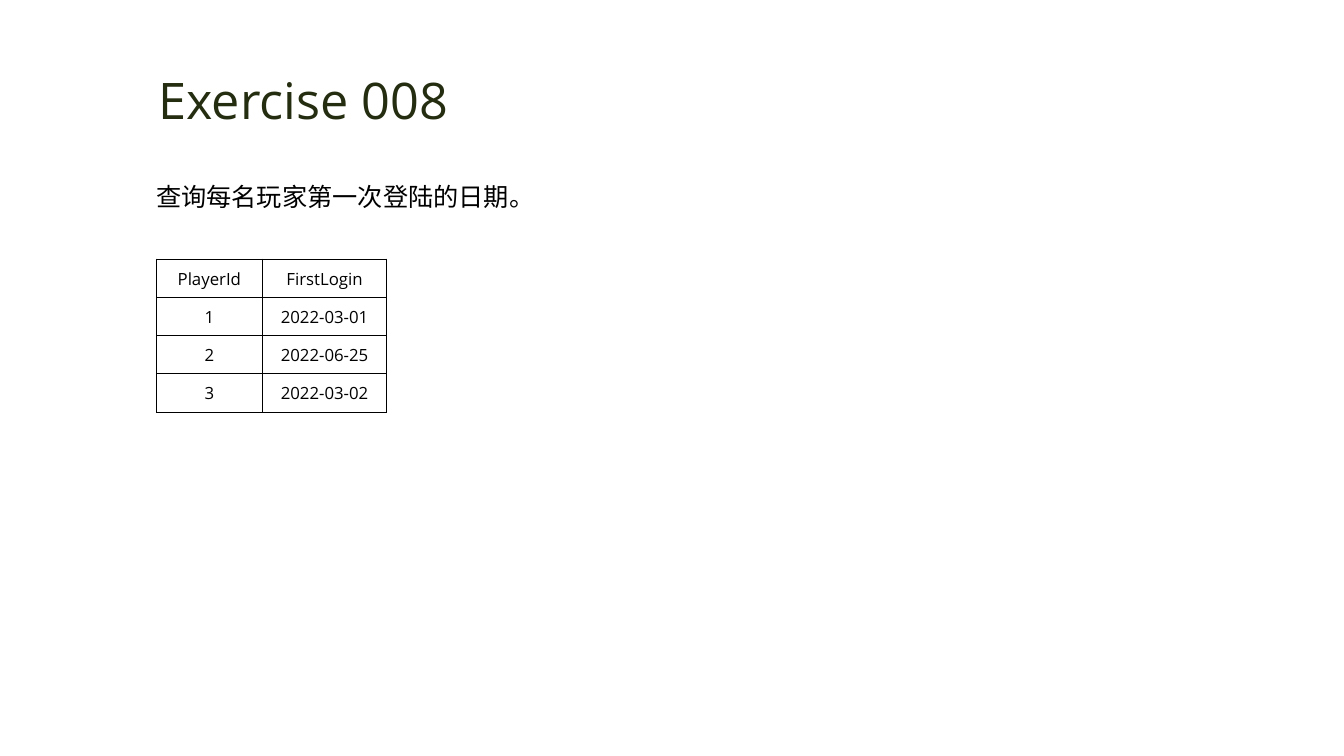
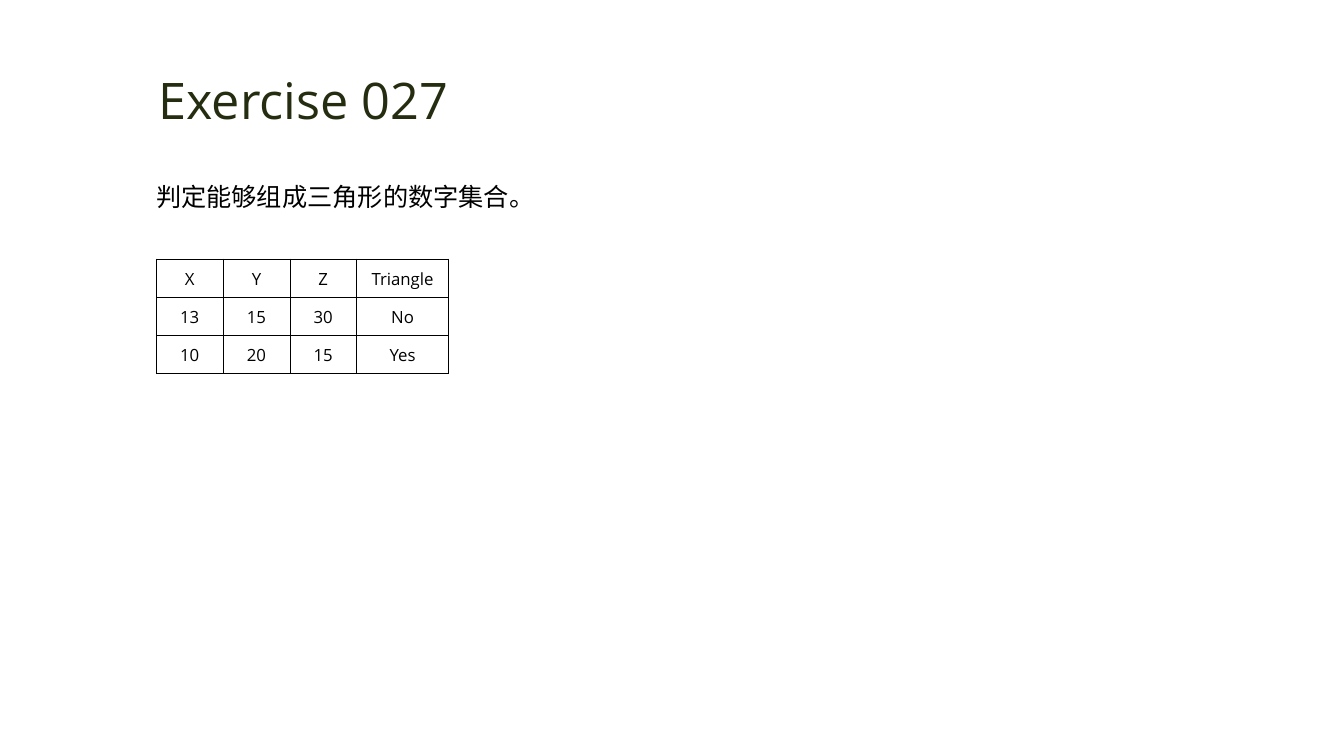
from lxml import etree
from pptx import Presentation
from pptx.dml.color import RGBColor
from pptx.enum.text import MSO_ANCHOR, MSO_AUTO_SIZE, PP_ALIGN
from pptx.oxml.ns import qn
from pptx.util import Inches, Pt

CENTER, LEFT = PP_ALIGN.CENTER, PP_ALIGN.LEFT
MIDDLE = MSO_ANCHOR.MIDDLE
GROW = MSO_AUTO_SIZE.SHAPE_TO_FIT_TEXT

FONT = "Open Sans"
INK, OLIVE = "000000", "242D10"


def color(code):
    return RGBColor.from_string(code)


class Deck:
    """Holds the shared style and the current slide; lengths are percent of the slide."""

    def __init__(self):
        self.prs = Presentation()
        self.prs.slide_width = Inches(13.33)
        self.prs.slide_height = Inches(7.5)
        self.slide = None

    def x(self, share):
        return round(self.prs.slide_width * share / 100)

    def y(self, share):
        return round(self.prs.slide_height * share / 100)

    def page(self):
        self.slide = self.prs.slides.add_slide(self.prs.slide_layouts[6])

    def run(self, para, text, size, ink=INK):
        run = para.add_run()
        run.text = text
        run.font.size = Pt(size)
        run.font.color.rgb = color(ink)
        run.font.name = FONT
        etree.SubElement(run.font._element, qn("a:ea"), typeface=FONT)

    def text(self, text, left, top, width, height, size, ink=INK,
             align=LEFT, wrap=True, space=1.0):
        box = self.slide.shapes.add_textbox(
            self.x(left), self.y(top), self.x(width), self.y(height))
        frame = box.text_frame
        frame.word_wrap = wrap
        frame.auto_size = GROW
        para = frame.paragraphs[0]
        para.alignment = align
        para.line_spacing = space
        self.run(para, text, size, ink)

    def title(self, text):
        self.text(text, 10.43, 8.53, 24.3, 9.47, 36, OLIVE, CENTER, wrap=False)

    def task(self, text):
        self.text(text, 10.88, 21.33, 39.23, 6.8, 18, space=1.5)

    def border(self, cell):
        props = cell._tc.get_or_add_tcPr()
        for side in ("a:lnL", "a:lnR", "a:lnT", "a:lnB"):
            line = etree.SubElement(props, qn(side), w=str(Pt(0.5)))
            fill = etree.SubElement(line, qn("a:solidFill"))
            etree.SubElement(fill, qn("a:srgbClr"), val=INK)

    def cell(self, cell, text):
        self.border(cell)
        cell.fill.background()
        cell.vertical_anchor = MIDDLE
        cell.margin_left = cell.margin_right = cell.margin_top = Inches(0.01)
        cell.margin_bottom = 0
        para = cell.text_frame.paragraphs[0]
        para.alignment = CENTER
        self.run(para, text, 12)

    def table(self, widths, rows, height=5.06):
        table = self.slide.shapes.add_table(
            len(rows), len(widths), self.x(11.63), self.y(34.27),
            self.x(sum(widths)), self.y(height * len(rows))).table
        table.first_row = table.horz_banding = False
        for col, width in zip(table.columns, widths):
            col.width = self.x(width)
        for row, texts in zip(table.rows, rows):
            row.height = self.y(height)
            for cell, text in zip(row.cells, texts):
                self.cell(cell, text)


PAGES = [
    ("Exercise 008", "查询每名玩家第一次登陆的日期。", [7.9, 9.25], [
        ("PlayerId", "FirstLogin"),
        ("1", "2022-03-01"),
        ("2", "2022-06-25"),
        ("3", "2022-03-02"),
    ]),
    ("Exercise 027", "判定能够组成三角形的数字集合。", [4.97] * 3 + [6.85], [
        ("X", "Y", "Z", "Triangle"),
        ("13", "15", "30", "No"),
        ("10", "20", "15", "Yes"),
    ]),
]


def main():
    deck = Deck()
    for title, task, widths, rows in PAGES:
        deck.page()
        deck.title(title)
        deck.task(task)
        deck.table(widths, rows)
    deck.prs.save("out.pptx")


if __name__ == "__main__":
    main()
